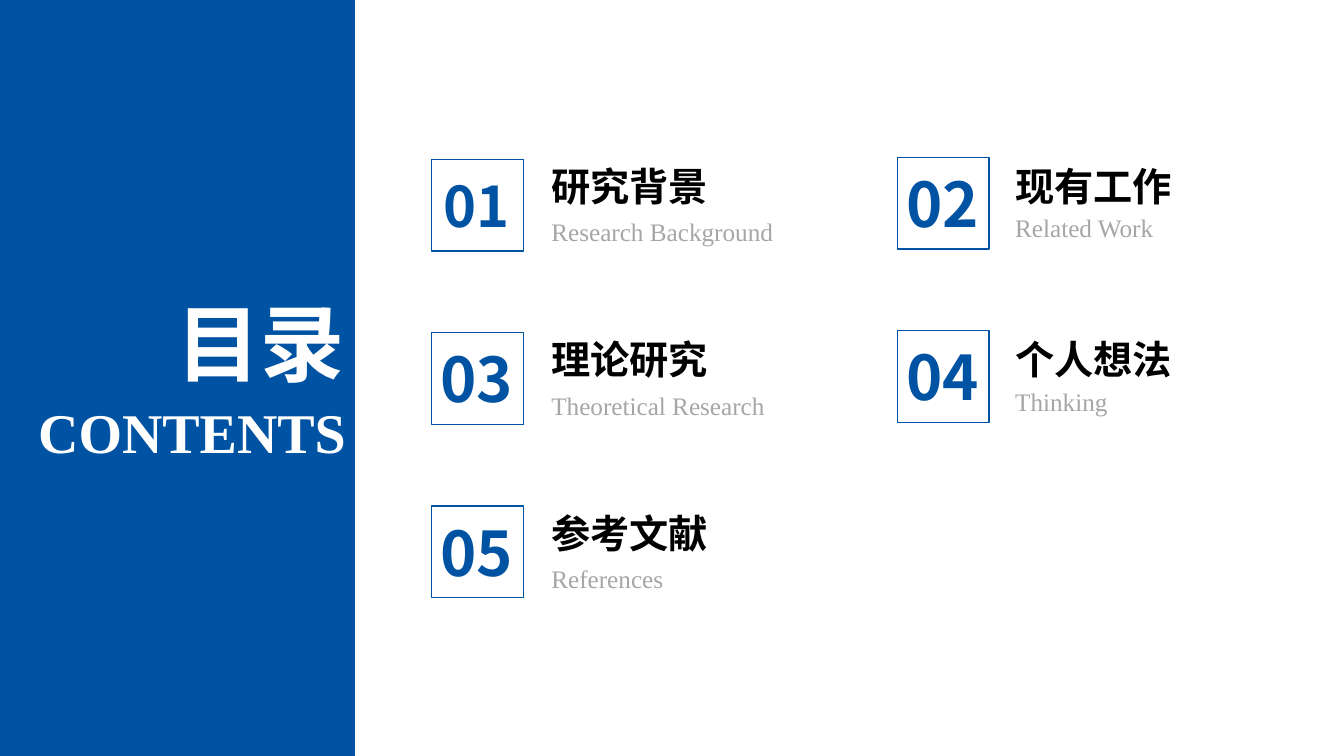
"""Build a contents slide with a blue side panel and five numbered topics."""
from lxml.etree import SubElement
from pptx import Presentation
from pptx.dml.color import RGBColor
from pptx.enum.shapes import MSO_SHAPE
from pptx.enum.text import MSO_AUTO_SIZE, PP_ALIGN
from pptx.oxml.ns import qn
from pptx.util import Inches, Pt

BLUE = RGBColor(0x00, 0x53, 0xA3)
GRAY = RGBColor(0xA6, 0xA6, 0xA6)
BLACK = RGBColor(0x00, 0x00, 0x00)
WHITE = RGBColor(0xFF, 0xFF, 0xFF)
SANS = "Noto Sans CJK SC"
SERIF = "Times New Roman"
BOX = 0.91

prs = Presentation()
prs.slide_width, prs.slide_height = Inches(13.33), Inches(7.5)
s = prs.slides.add_slide(prs.slide_layouts[6])


def add_rect(x, y, w, h):
    sp = s.shapes.add_shape(MSO_SHAPE.RECTANGLE, Inches(x), Inches(y), Inches(w), Inches(h))
    sp.shadow.inherit = False
    return sp


def add_text(text, x, y, w, h, size, font, color, bold=True, align=PP_ALIGN.LEFT):
    tf = s.shapes.add_textbox(Inches(x), Inches(y), Inches(w), Inches(h)).text_frame
    tf.word_wrap = True
    tf.auto_size = MSO_AUTO_SIZE.SHAPE_TO_FIT_TEXT
    p = tf.paragraphs[0]
    p.alignment = align
    r = p.add_run()
    r.text = text
    for name, value in {"name": font, "size": Pt(size), "bold": bold}.items():
        setattr(r.font, name, value)
    r.font.color.rgb = color
    SubElement(r.font._element, qn("a:ea")).set("typeface", font)


panel = add_rect(0, 0, 3.52, 7.5)
panel.fill.solid()
panel.fill.fore_color.rgb = BLUE
panel.line.fill.background()
add_text("目录", 0.98, 2.84, 2.54, 1.11, 60, SANS, WHITE, align=PP_ALIGN.RIGHT)
add_text("CONTENTS", 0, 3.89, 3.53, 0.77, 40, SERIF, WHITE, align=PP_ALIGN.RIGHT)

columns = [
    {"box_x": 4.28, "text_x": 5.37, "top": 1.58, "title_dy": -0.02, "sub_dy": 0.52},
    {"box_x": 8.9, "text_x": 9.97, "top": 1.56, "title_dy": 0, "sub_dy": 0.5},
]
topics = [
    ("研究背景", "Research Background", 40, 0.77),
    ("现有工作", "Related Work", 44, 0.84),
    ("理论研究", "Theoretical Research", 44, 0.84),
    ("个人想法", "Thinking", 44, 0.84),
    ("参考文献", "References", 44, 0.84),
]
for i, (title, subtitle, size, num_h) in enumerate(topics):
    row, col = divmod(i, 2)
    c = columns[col]
    x, y = c["box_x"], c["top"] + 1.72 * row
    add_text(title, c["text_x"], y + c["title_dy"], 2.62, 0.57, 28, SANS, BLACK)
    add_text(subtitle, c["text_x"], y + c["sub_dy"], 2.62, 0.4, 18, SERIF, GRAY, bold=False)
    add_text(f"{i + 1:02d}", x - 0.04, y + (BOX - num_h) / 2, 0.98, num_h, size, SANS, BLUE,
             align=PP_ALIGN.CENTER)
    box = add_rect(x, y, BOX, BOX)
    box.fill.background()
    box.line.color.rgb = BLUE
    box.line.width = Pt(1)

prs.save("out.pptx")
